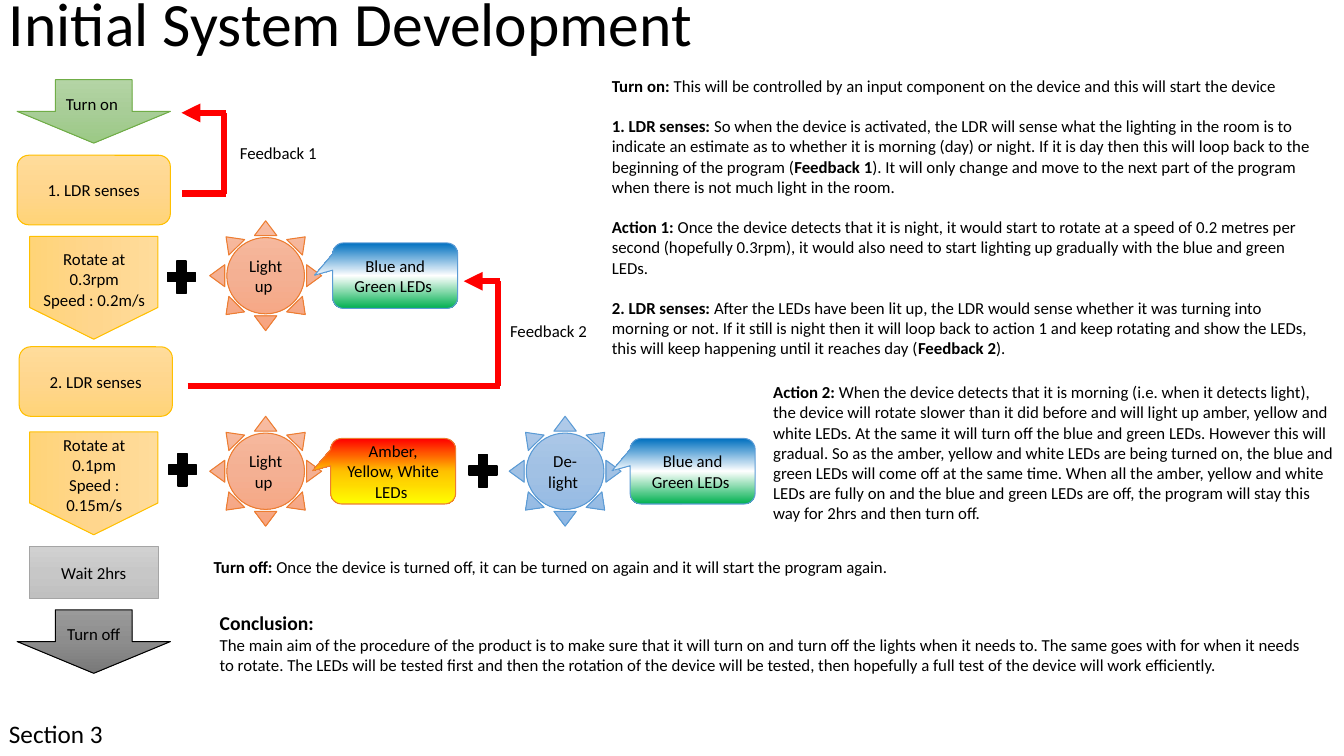
from lxml import etree
from pptx import Presentation
from pptx.dml.color import RGBColor as RGB
from pptx.enum.shapes import MSO_CONNECTOR as Link, MSO_SHAPE as Kind
from pptx.enum.text import MSO_ANCHOR as Anchor, PP_ALIGN as Align
from pptx.oxml.ns import qn
from pptx.util import Inches, Pt

FONT = "Calibri"
HEX = {"ink": "000000", "loop": "FF0000"}
# Gradient stops from top to bottom, then the outline
FILLS = {
    "green": ("B4D4A5", "A8CD97", "9BC985", "70AD47"),
    "gold": ("FFDC9B", "FFD68D", "FFD478", "FFC000"),
    "orange": ("F7BCA2", "F4B093", "F7A47F", "ED7D31"),
    "blue": ("B0CAE9", "A1C1E4", "90B8E4", "5B9BD5"),
    "grey": ("D1D1D1", "C7C7C7", "C0C0C0", "A5A5A5"),
    "dark": ("9A9A9A", "8D8D8D", "787878", "000000"),
    "cool": ("0070C0", "FFFFFF", "00B050", "5B9BD5"),
    "warm": ("FF0000", "FFC000", "FFFF00", "ED7D31"),
}
# Preset, width, height, adjustments
FORMS = {
    "arrow": (Kind.DOWN_ARROW, 1.52, 0.63, (0.5, 0.5)),
    "sense": (Kind.ROUNDED_RECTANGLE, 1.52, 0.69, (0.167,)),
    "wait": (Kind.RECTANGLE, 1.28, 0.52, ()),
    "turn": (Kind.PENTAGON, 1.02, 1.27, (0.308,)),
    "sun": (Kind.SUN, 1.11, 1.09, (0.153,)),
    "note": (Kind.ROUNDED_RECTANGULAR_CALLOUT, 1.24, 0.65, (-0.645, -0.008, 0.167)),
    "plus": (Kind.MATH_PLUS, 0.38, 0.44, (0.235,)),
}
# Form, fill, left, top, text
STEPS = [
    ("arrow", "green", 0.17, 0.79, "Turn on "),
    ("sense", "gold", 0.17, 1.54, "1. LDR senses"),
    ("sun", "orange", 2.08, 2.19, "Light up "),
    ("note", "cool", 3.3, 2.41, "Blue and Green LEDs "),
    ("plus", None, 1.61, 2.53, ""),
    ("turn", "gold", 0.42, 2.22, ""),
    ("wait", "grey", 0.29, 5.42, "Wait 2hrs"),
    ("sense", "gold", 0.19, 3.44, "2. LDR senses"),
    ("turn", "gold", 0.42, 4.16, ""),
    ("sun", "orange", 2.08, 4.13, "Light up "),
    ("note", "warm", 3.28, 4.35, "Amber, Yellow, White LEDs "),
    ("plus", None, 1.62, 4.44, ""),
    ("sun", "blue", 5.05, 4.13, "De-light "),
    ("plus", None, 4.6, 4.45, ""),
    ("arrow", "dark", 0.17, 6.05, "Turn off "),
    ("note", "cool", 6.25, 4.35, "Blue and Green LEDs "),
]
# Feedback loops: start x, end x, right-hand x, bottom y, top y
LOOPS = [(1.81, 1.8, 2.22, 1.92, 1.12), (1.86, 4.6, 4.94, 3.83, 2.79)]

TITLE = "Initial System Development"
SPEEDS = [
    (2.34, ["Rotate at 0.3rpm", "Speed : 0.2m/s"]),
    (4.28, ["Rotate at 0.1pm", "Speed : 0.15m/s"]),
]
# Left, top, width, height, gap between paragraphs; ** marks bold
NOTES = [
    (2.28, 1.37, 1.01, 0.3, 0, ["Feedback 1"]),
    (4.96, 3.13, 1.01, 0.3, 0, ["Feedback 2"]),
    (5.97, 0.7, 7.17, 2.93, 14.5, [
        "**Turn on: **This will be controlled by an input component on the device "
        "and this will start the device",
        "**1. LDR senses: **So when the device is activated, the LDR will sense what the "
        "lighting in the room is to indicate an estimate as to whether it is morning (day) "
        "or night. If it is day then this will loop back to the beginning of the program "
        "(**Feedback 1**). It will only change and move to the next part of the program "
        "when there is not much light in the room.",
        "**Action 1: **Once the device detects that it is night, it would start to rotate "
        "at a speed of 0.2 metres per second (hopefully 0.3rpm), it would also need to "
        "start lighting up gradually with the blue and green LEDs.",
        "**2. LDR senses: **After the LEDs have been lit up, the LDR would sense whether "
        "it was turning into morning or not. If it still is night then it will loop back "
        "to action 1 and keep rotating and show the LEDs, this will keep happening until "
        "it reaches day (**Feedback 2**).",
    ]),
    (7.57, 3.74, 5.77, 1.92, 0, [
        "**Action 2: **When the device detects that it is morning (i.e. when it detects "
        "light), the device will rotate slower than it did before and will light up amber, "
        "yellow and white LEDs. At the same it will turn off the blue and green LEDs. "
        "However this will gradual. So as the amber, yellow and white LEDs are being turned "
        "on, the blue and green LEDs will come off at the same time. When all the amber, "
        "yellow and white LEDs are fully on and the blue and green LEDs are off, the program "
        "will stay this way for 2hrs and then turn off.",
    ]),
    (2.02, 5.47, 7, 0.3, 0, [
        "**Turn off: **Once the device is turned off, it can be turned on again and it "
        "will start the program again.",
    ]),
    (2.08, 6.01, 11.09, 0.98, 0, [
        "**Conclusion:**",
        "The main aim of the procedure of the product is to make sure that it will turn on "
        "and turn off the lights when it needs to. The same goes with for when it needs to "
        "rotate. The LEDs will be tested first and then the rotation of the device will be "
        "tested, then hopefully a full test of the device will work efficiently.",
    ]),
]

deck = Presentation()
deck.slide_width, deck.slide_height = Inches(13.33), Inches(7.5)
slide = deck.slides.add_slide(deck.slide_layouts[6])


def write(frame, lines, size=12, gap=0, align=Align.LEFT, anchor=Anchor.TOP):
    frame.word_wrap = True
    frame.vertical_anchor = anchor
    for i, line in enumerate(lines):
        para = frame.paragraphs[0] if i == 0 else frame.add_paragraph()
        para.alignment = align
        if i and gap:
            para.space_before = Pt(gap)
        for j, part in enumerate(line.split("**")):
            if part:
                run = para.add_run()
                run.text = part
                font = run.font
                font.name, font.size, font.bold = FONT, Pt(size), j % 2 == 1
                font.color.rgb = RGB.from_string(HEX["ink"])


def add_text(left, top, wide, high, lines, **style):
    box = slide.shapes.add_textbox(*map(Inches, (left, top, wide, high)))
    write(box.text_frame, lines, **style)
    return box


def shade(shape, stops):
    shape.fill.gradient()
    shape.fill.gradient_angle = 270
    ramp = shape._element.spPr.find(qn("a:gradFill")).find(qn("a:gsLst"))
    for old in list(ramp):
        ramp.remove(old)
    for i, tone in enumerate(stops):
        stop = etree.SubElement(ramp, qn("a:gs"), pos=str(i * 50000))
        etree.SubElement(stop, qn("a:srgbClr"), val=tone)


def add_step(form, fill, left, top, text):
    kind, wide, high, adjust = FORMS[form]
    shape = slide.shapes.add_shape(kind, *map(Inches, (left, top, wide, high)))
    shape.shadow.inherit = False
    for i, value in enumerate(adjust):
        shape.adjustments[i] = value
    if fill:
        *stops, edge = FILLS[fill]
        shade(shape, stops)
    else:
        edge = HEX["ink"]
        shape.fill.solid()
        shape.fill.fore_color.rgb = RGB.from_string(edge)
    shape.line.color.rgb = RGB.from_string(edge)
    shape.line.width = Pt(0.75 if fill else 1)
    if form == "turn":
        shape.rotation = 90
    if text:
        write(shape.text_frame, [text], align=Align.CENTER, anchor=Anchor.MIDDLE)


def add_loop(start, end, side, low, high):
    group = slide.shapes.add_group_shape()
    tip = side + 0.02  # covers the corner joints
    legs = [(start, low, tip, low), (side, low, side, high), (tip, high, end, high)]
    for leg in legs:
        line = group.shapes.add_connector(Link.STRAIGHT, *map(Inches, leg))
        line.line.color.rgb = RGB.from_string(HEX["loop"])
        line.line.width = Pt(4.5)
        props = line._element.spPr
        if leg == legs[-1]:
            etree.SubElement(props.find(qn("a:ln")), qn("a:tailEnd"), type="triangle")
        etree.SubElement(props, qn("a:effectLst"))


# Heading and section mark
title = add_text(-0.01, -0.46, 11.5, 1.45, [TITLE], size=44, anchor=Anchor.MIDDLE)
title.text_frame.paragraphs[0].line_spacing = 0.9
add_text(-0.01, 7.08, 1.15, 0.4, ["Section 3"], size=18)

# Flow chart
for step in STEPS:
    add_step(*step)
for top, lines in SPEEDS:
    add_text(0.3, top, 1.27, 0.86, lines, align=Align.CENTER, anchor=Anchor.MIDDLE)
for loop in LOOPS:
    add_loop(*loop)

# Explanations
for left, top, wide, high, gap, lines in NOTES:
    note = add_text(left, top, wide, high, lines, gap=gap)
note.text_frame.paragraphs[0].runs[0].font.size = Pt(14)

deck.save("out.pptx")
